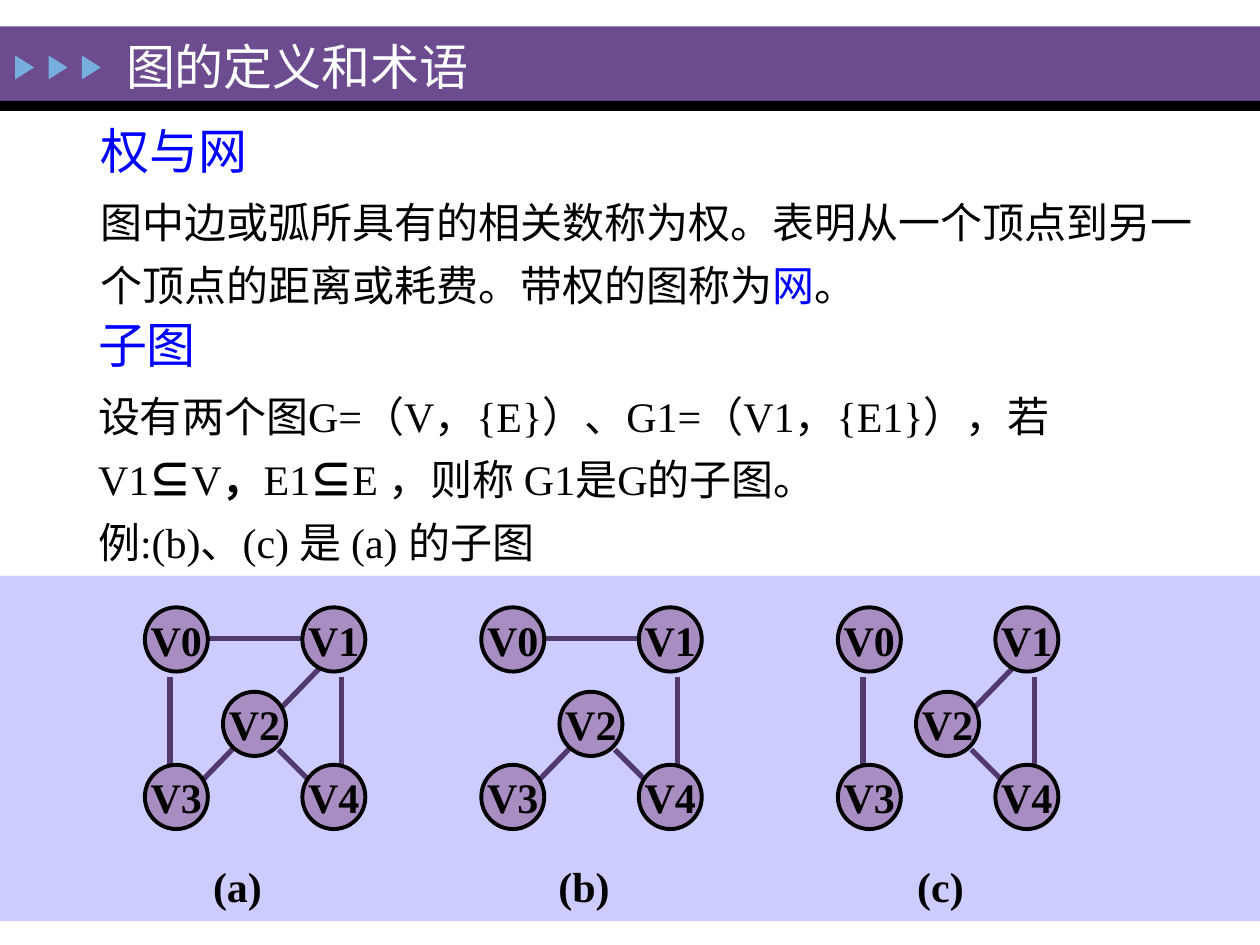
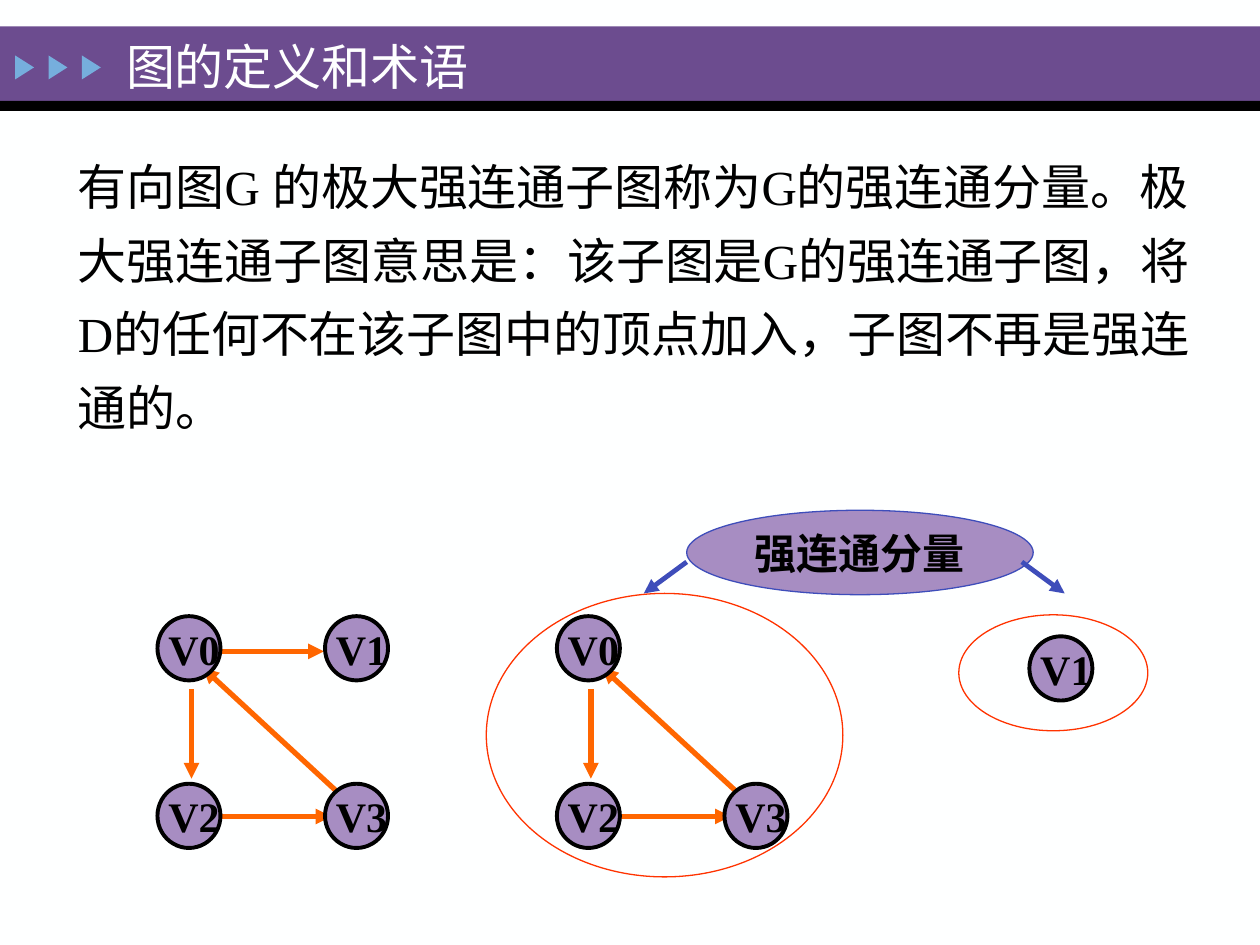
"""Build two slides on graph terms: weights, subgraphs and strong components."""
from lxml import etree
from pptx import Presentation
from pptx.dml.color import RGBColor
from pptx.enum.shapes import MSO_CONNECTOR, MSO_SHAPE
from pptx.enum.text import MSO_ANCHOR, PP_ALIGN
from pptx.oxml.ns import qn
from pptx.util import Inches, Pt

RECT, OVAL, WEDGE = MSO_SHAPE.RECTANGLE, MSO_SHAPE.OVAL, MSO_SHAPE.ISOSCELES_TRIANGLE
STRAIGHT = MSO_CONNECTOR.STRAIGHT
LEFT, CENTER = PP_ALIGN.LEFT, PP_ALIGN.CENTER
TOP, MIDDLE = MSO_ANCHOR.TOP, MSO_ANCHOR.MIDDLE

COLORS = {
    "page": "FEFFFF", "band": "6C4C8F", "black": "000000", "wedge": "76AEDD",
    "panel": "CCCCFF", "node": "A78DC2", "edge": "51396B", "blue": "0000FF",
    "arc": "FF6600", "ring": "FF3300", "call": "3E4DBA",
}
LATIN, HAN = "Times New Roman", "Noto Sans CJK SC"
TITLE = "图的定义和术语"

BLUE = {"color": "blue"}
BOLD = {"bold": True}
SUBSET = ("⊆", {"name": HAN, "bold": True})
NOTES = [
    ((0.68, 2.45, 1.6, 0.57), 28, 1, [[("子图", BLUE)]]),
    ((0.68, 2.95, 8.5, 1.61), 24, 1.25, [
        [("设有两个图G=（V，{E}）、G1=（V1，{E1}），若V1", {}), SUBSET, ("V", {}),
         ("，", BOLD), ("E1", {}), SUBSET, ("E ，则称 G1是G的子图。", {})],
        [("例:(b)、(c) 是 (a) 的子图", {})]]),
    ((0.7, 0.91, 2.58, 0.57), 28, 1, [[("权与网", BLUE)]]),
    ((0.7, 1.41, 9.08, 1.06), 24, 1.25, [
        [("图中边或弧所具有的相关数称为权。表明从一个顶点到另一个顶点的距离或耗费。带权的图称为", {}),
         ("网", BLUE), ("。", {})]]),
]
STRONG = [
    ((0.52, 1.08, 9.21, 2.46), 28, 1.25, [
        [("有向图G 的极大强连通子图称为G的强连通分量。极大强连通子图意思是："
          "该子图是G的强连通子图，将D的任何不在该子图中的顶点加入，子图不再是强连通的。", {})]]),
]

NODE = (0.5, 0.51)
SPOTS = {"V0": (0, 0), "V1": (1.25, 0), "V2": (0.62, 0.67), "V3": (0, 1.25), "V4": (1.25, 1.25)}
EDGES = {
    "01": (0.5, 0.25, 1.32, 0.25), "03": (0.2, 0.55, 0.2, 1.27),
    "14": (1.56, 0.55, 1.56, 1.27), "23": (0.73, 1.09, 0.44, 1.39),
    "12": (1.38, 0.49, 1.09, 0.79), "24": (1.06, 1.13, 1.32, 1.39),
}
GRAPHS = [
    ("(a)", 1.15, 1.27, ["01", "03", "14", "23", "12", "24"]),
    ("(b)", 3.82, 4.02, ["01", "14", "23", "24"]),
    ("(c)", 6.65, 6.85, ["03", "14", "12", "24"]),
]
STEP = 1.33
CORNERS = {"V0": (0, 0), "V1": (STEP, 0), "V2": (0, STEP), "V3": (STEP, STEP)}
ARCS = {
    "02": (0.27, 0.58, 0.27, 1.29), "23": (0.5, 1.59, 1.38, 1.59),
    "01": (0.5, 0.28, 1.32, 0.28), "30": (1.53, 1.49, 0.36, 0.41),
}
PARTS = [
    ((1.25, 4.89), ["V0", "V1", "V2", "V3"], ["02", "23", "01", "30"]),
    ((4.42, 4.89), ["V0", "V2", "V3"], ["02", "23", "30"]),
    ((8.17 - STEP, 5.05), ["V1"], []),
]
RINGS = [(3.86, 4.71, 2.83, 2.25), (7.61, 4.88, 1.5, 0.92)]
CALLS = [(5.45, 4.46, 5.11, 4.71), (8.11, 4.46, 8.45, 4.71)]


def rgb(key):
    return RGBColor.from_string(COLORS[key])


def inch(nums):
    return [Inches(num) for num in nums]


def apply(item, form):
    for key, value in form.items():
        if key == "color":
            item.color.rgb = rgb(value)
        else:
            setattr(item, key, value)


def write(shape, paras, size, align=LEFT, lead=1, base=None, **form):
    frame = shape.text_frame
    apply(frame, {"word_wrap": True, "vertical_anchor": TOP, **form})
    for num, runs in enumerate(paras):
        para = frame.add_paragraph() if num else frame.paragraphs[0]
        apply(para, {"alignment": align, "line_spacing": lead})
        for text, look in runs:
            run = para.add_run()
            run.text = text
            apply(run.font, {"name": LATIN, "size": Pt(size), "bold": False,
                             "color": "black", **(base or {}), **look})
    for props in shape.element.iter(qn("a:rPr")):
        etree.SubElement(props, qn("a:ea")).set("typeface", HAN)


def draw(slide, kind, box, fill=None, line=None, width=0.75):
    shape = slide.shapes.add_shape(kind, *inch(box))
    shape.shadow.inherit = False
    if fill:
        shape.fill.solid()
        shape.fill.fore_color.rgb = rgb(fill)
    else:
        shape.fill.background()
    if line:
        shape.line.color.rgb = rgb(line)
        shape.line.width = Pt(width)
    else:
        shape.line.fill.background()
    return shape


def link(slide, ends, color, width=3, arrow=False):
    wire = slide.shapes.add_connector(STRAIGHT, *inch(ends))
    wire.line.color.rgb = rgb(color)
    wire.line.width = Pt(width)
    if arrow:
        stroke = wire.element.find(".//" + qn("a:ln"))
        etree.SubElement(stroke, qn("a:tailEnd")).set("type", "triangle")
    etree.SubElement(wire.element.spPr, qn("a:effectLst"))


def net(slide, base, names, spots, edges, color, arrow=False, shift=0):
    left, top = base
    for x1, y1, x2, y2 in edges:
        link(slide, (left + x1, top + y1, left + x2, top + y2), color, arrow=arrow)
    for name in names:
        x, y = spots[name]
        node = draw(slide, OVAL, (left + x, top + y, *NODE), "node", "black", 2.25)
        write(node, [[(name, BOLD)]], 24, CENTER, word_wrap=False, vertical_anchor=MIDDLE,
              margin_left=Inches(shift), margin_right=0, margin_top=0, margin_bottom=0)


def notes(slide, items):
    for box, size, lead, paras in items:
        write(slide.shapes.add_textbox(*inch(box)), paras, size, lead=lead)


def dress(layout, slide):
    parts = [draw(slide, RECT, (0, 0.21, 10, 0.59), "band"),
             draw(slide, RECT, (0, 0.8, 10, 0.08), "black")]
    for num in range(3):
        wedge = draw(slide, WEDGE, (0.1 + num * 0.265, 0.46, 0.19, 0.15), "wedge")
        wedge.rotation = 90
        parts.append(wedge)
    for num, part in enumerate(parts, 20):
        part.element.find(".//" + qn("p:cNvPr")).set("id", str(num))
        layout.shapes.element.append(part.element)


def start(deck, layout):
    slide = deck.slides.add_slide(layout)
    title = slide.shapes.title
    title.left, title.top, title.width, title.height = inch((0.9, 0.15, 6.73, 0.75))
    write(title, [[(TITLE, {"color": "page"})]], 28, vertical_anchor=MIDDLE)
    return slide


def main():
    deck = Presentation()
    deck.slide_width, deck.slide_height = inch((10, 7.5))
    back = deck.slide_master.background.fill
    back.solid()
    back.fore_color.rgb = rgb("page")
    layout = deck.slide_layouts[5]

    slide = start(deck, layout)
    dress(layout, slide)
    draw(slide, RECT, (0, 4.57, 10, 2.74), "panel")
    for label, left, mark, keys in GRAPHS:
        net(slide, (left, 4.82), SPOTS, SPOTS, [EDGES[key] for key in keys], "edge")
        tag = slide.shapes.add_textbox(*inch((mark, 6.78, 1.23, 0.5)))
        write(tag, [[(label, BOLD)]], 24, CENTER)
    notes(slide, NOTES)

    slide = start(deck, layout)
    notes(slide, STRONG)
    cloud = draw(slide, OVAL, (5.45, 4.05, 2.75, 0.67), "node", "call")
    write(cloud, [[("强连通分量", BOLD)]], 24, CENTER, word_wrap=False, vertical_anchor=MIDDLE)
    for ends in CALLS:
        link(slide, ends, "call", 2.75, True)
    for base, names, keys in PARTS:
        net(slide, base, names, CORNERS, [ARCS[key] for key in keys], "arc", True, 0.08)
    for box in RINGS:
        draw(slide, OVAL, box, line="ring")

    deck.save("out.pptx")


if __name__ == "__main__":
    main()
